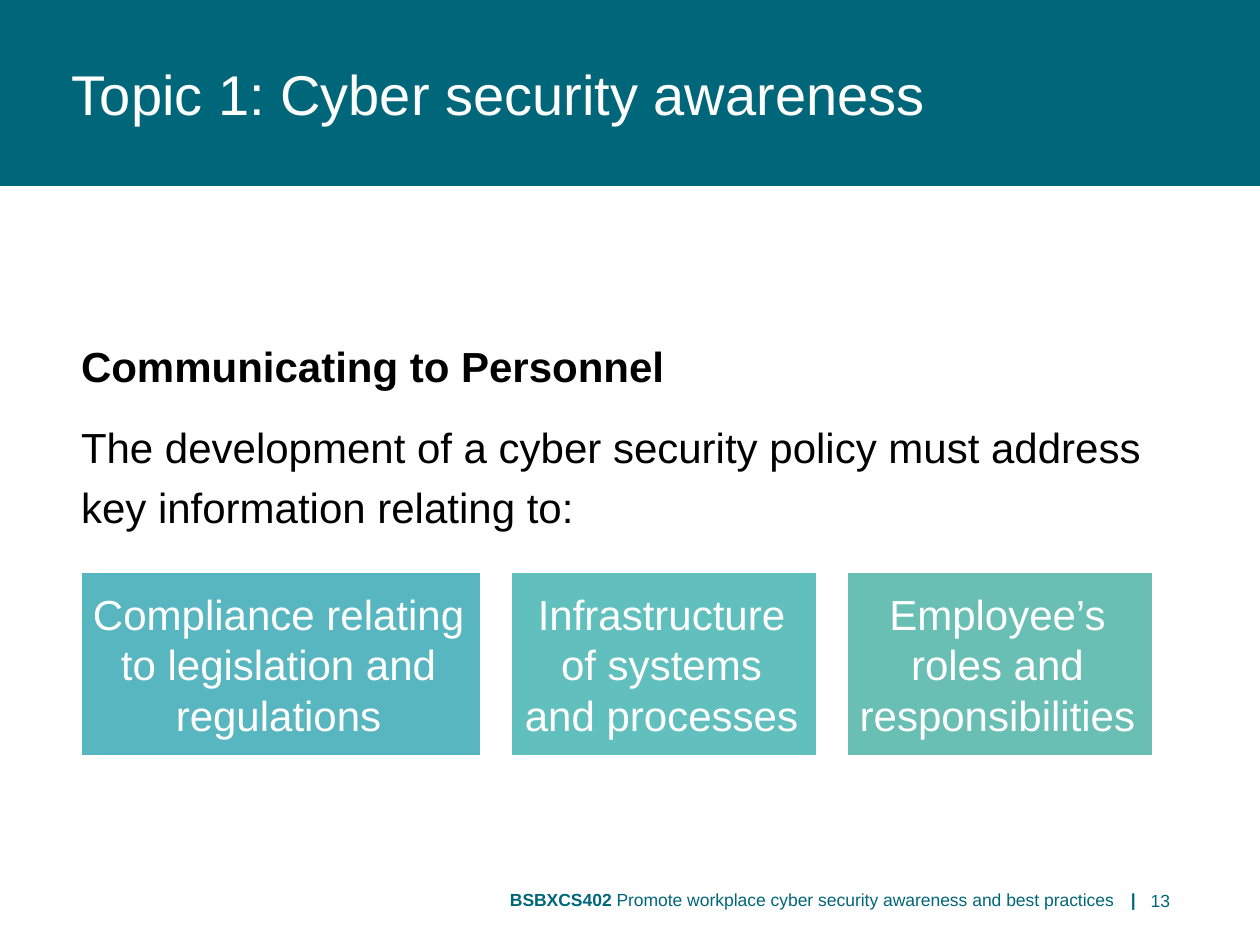
"""Build the cyber security awareness slide on communicating to personnel."""
from lxml import etree
from pptx import Presentation
from pptx import util as u
from pptx.dml.color import RGBColor
from pptx.enum import shapes, text
from pptx.oxml.ns import qn

PX = 914400 // 126
COLOURS = {"teal": "00667A", "white": "FFFFFF", "black": "000000",
           "blue": "58B6C0", "aqua": "61C0BD", "green": "69BFB3"}

TITLE = "Topic 1: Cyber security awareness"
BODY = [("Communicating to Personnel", True),
        ("The development of a cyber security policy must address "
         "key information relating to:", False)]
CARDS = [("Compliance relating to legislation and regulations", 400, "blue"),
         ("Infrastructure of systems and processes", 306, "aqua"),
         ("Employee’s roles and responsibilities", 306, "green")]
FOOTER = [("BSBXCS402 ", True),
          ("Promote workplace cyber security awareness and best practices", False),
          ("\t|", True)]
PAGE = [("13", False)]

TITLE_BOX = (0, 0, 1260, 186)
BODY_BOX = (68, 324, 1124, 212)
FOOTER_BOX = (450, 883, 706, 34)
PAGE_BOX = (1113, 876, 70, 50)
CARD_LEFT, CARD_TOP, CARD_HEIGHT, CARD_GAP = 81, 572, 184, 30
BAR_TAB = 621

ALIGN = text.PP_ALIGN
TOP, MIDDLE = text.MSO_ANCHOR.TOP, text.MSO_ANCHOR.MIDDLE


def colour(name):
    return RGBColor.from_string(COLOURS[name])


def set_all(target, values):
    for name, value in values.items():
        setattr(target, name, value)


def place(shape, box):
    set_all(shape, dict(zip(("left", "top", "width", "height"),
                            (length * PX for length in box))))


def set_frame(shape, anchor, margins=(13, 6, 13, 6)):
    frame = shape.text_frame
    names = ("margin_left", "margin_top", "margin_right", "margin_bottom")
    set_all(frame, {"word_wrap": True, "auto_size": text.MSO_AUTO_SIZE.NONE,
                    "vertical_anchor": anchor})
    set_all(frame, dict(zip(names, (margin * PX for margin in margins))))
    return frame


def write(paragraph, runs, size, ink, **layout):
    set_all(paragraph, {"space_before": u.Pt(0), **layout})
    for words, bold in runs:
        run = paragraph.add_run()
        run.text = words
        set_all(run.font, {"name": "Arial", "size": u.Pt(size), "bold": bold})
        run.font.color.rgb = colour(ink)


def add_title(slide):
    title = slide.shapes.title
    place(title, TITLE_BOX)
    title.fill.solid()
    title.fill.fore_color.rgb = colour("teal")
    frame = set_frame(title, MIDDLE, (72, 6, 13, 6))
    write(frame.paragraphs[0], [(TITLE, False)], 32, "white", alignment=ALIGN.LEFT)


def add_body(slide):
    body = slide.placeholders[1]
    place(body, BODY_BOX)
    frame = set_frame(body, TOP)
    for index, run in enumerate(BODY):
        paragraph = frame.add_paragraph() if index else frame.paragraphs[0]
        properties = paragraph._p.get_or_add_pPr()
        properties.set("marL", "0")
        properties.set("indent", "0")
        etree.SubElement(properties, qn("a:buNone"))
        write(paragraph, [run], 24, "black", line_spacing=1.2,
              space_after=u.Pt(12), alignment=ALIGN.LEFT)


def add_cards(slide):
    left = CARD_LEFT
    for words, width, fill in CARDS:
        card = slide.shapes.add_shape(shapes.MSO_SHAPE.RECTANGLE, 0, 0, 0, 0)
        place(card, (left, CARD_TOP, width, CARD_HEIGHT))
        card.shadow.inherit = False
        card.fill.solid()
        card.fill.fore_color.rgb = colour(fill)
        card.line.color.rgb = colour("white")
        card.line.width = u.Pt(1)
        frame = set_frame(card, MIDDLE, (10, 13, 15, 13))
        write(frame.paragraphs[0], [(words, False)], 24, "white",
              alignment=ALIGN.CENTER)
        left += width + CARD_GAP


def add_footer(slide):
    footer, page = (slide.shapes.add_textbox(0, 0, 0, 0) for _ in range(2))
    place(footer, FOOTER_BOX)
    place(page, PAGE_BOX)
    paragraph = set_frame(footer, TOP, (60, 6, 0, 6)).paragraphs[0]
    tabs = etree.SubElement(paragraph._p.get_or_add_pPr(), qn("a:tabLst"))
    etree.SubElement(tabs, qn("a:tab"), pos=str(BAR_TAB * PX), algn="l")
    write(paragraph, FOOTER, 10, "teal", alignment=ALIGN.LEFT)
    write(set_frame(page, MIDDLE).paragraphs[0], PAGE, 10, "teal",
          alignment=ALIGN.RIGHT)


def main():
    presentation = Presentation()
    set_all(presentation, {"slide_width": u.Inches(10), "slide_height": u.Inches(7.5)})
    slide = presentation.slides.add_slide(presentation.slide_layouts[1])
    for add_part in (add_title, add_body, add_cards, add_footer):
        add_part(slide)
    presentation.save("out.pptx")


if __name__ == "__main__":
    main()
